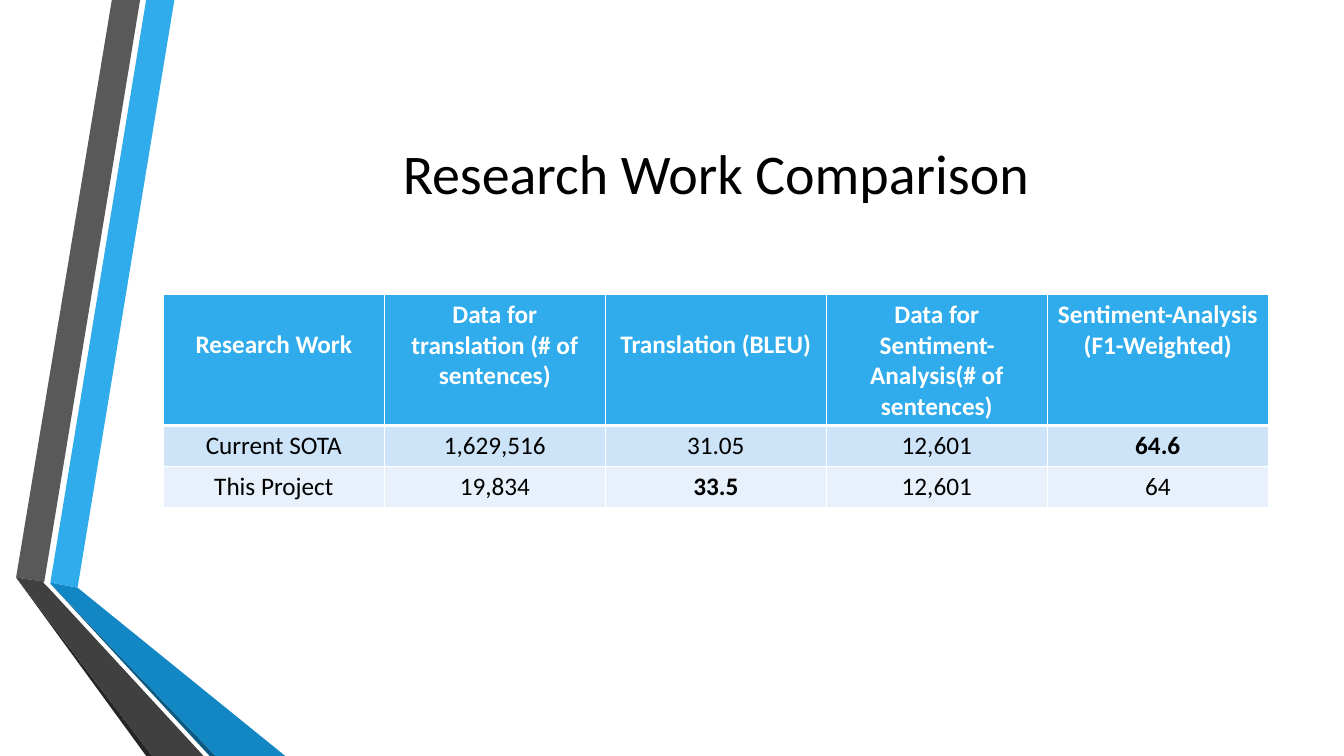
from lxml.etree import SubElement
from pptx import Presentation
from pptx.dml.color import RGBColor
from pptx.enum.text import MSO_ANCHOR, PP_ALIGN
from pptx.oxml.ns import qn
from pptx.util import Inches, Pt

WIDTH, HEIGHT = 13.33, 7.5
FONT = "Calibri"
COLORS = {
    "blue": "30ACEC", "blue_dark": "1287C3", "blue_shadow": "0C5A82",
    "gray": "595959", "gray_dark": "404040", "gray_shadow": "262626",
    "band_1": "CDE3F8", "band_2": "E8F1FB", "white": "FFFFFF", "black": "000000",
}
# Corners in hundredths of an inch from the top left of the ribbon area
RIBBONS = [
    ("blue", [(50, 578), (77, 583), (173, 0), (145, 0)]),
    ("gray", [(139, 0), (111, 0), (16, 573), (44, 577)]),
    ("gray_shadow", [(16, 573), (145, 750), (151, 750)]),
    ("blue_shadow", [(50, 579), (208, 750), (214, 750)]),
    ("blue_dark", [(50, 579), (214, 750), (283, 750), (77, 583), (50, 578)]),
    ("gray_dark", [(202, 750), (48, 583), (43, 578), (44, 577), (16, 573), (151, 750)]),
]
HEADERS = [
    "Research Work", "Data for translation (# of sentences)", "Translation (BLEU)",
    "Data for Sentiment-Analysis(# of sentences)", "Sentiment-Analysis (F1-Weighted)",
]
RESULTS = [
    ["Current SOTA", "1,629,516", "31.05", "12,601", "64.6"],
    ["This Project", "19,834", "33.5", "12,601", "64"],
]
BEST_SCORES = {"64.6", "33.5"}
LOWERED_HEADERS = {"Research Work", "Translation (BLEU)"}
ROW_HEIGHTS = [1.3, 0.41, 0.41]


def rgb(name):
    return RGBColor.from_string(COLORS[name])


def write_centered(text_frame, text, color, **font_format):
    paragraph = text_frame.paragraphs[0]
    paragraph.alignment = PP_ALIGN.CENTER
    run = paragraph.add_run()
    run.text = text
    run.font.color.rgb = rgb(color)
    for name, value in {"name": FONT, **font_format}.items():
        setattr(run.font, name, value)


def add_ribbons(slide, left, top):
    for color, corners in RIBBONS:
        builder = slide.shapes.build_freeform(*corners[0], scale=Inches(0.01))
        builder.add_line_segments(corners[1:], close=True)
        shape = builder.convert_to_shape(Inches(left), Inches(top))
        shape.shadow.inherit = False
        shape.fill.solid()
        shape.fill.fore_color.rgb = rgb(color)
        shape.line.fill.background()


def add_title(slide, left, top, width, height):
    box = slide.shapes.add_textbox(*map(Inches, (left, top, width, height)))
    box.text_frame.word_wrap = True
    box.text_frame.vertical_anchor = MSO_ANCHOR.MIDDLE
    write_centered(box.text_frame, "Research Work Comparison", "black", size=Pt(40))


def set_borders(cell, **points):
    properties = cell._tc.get_or_add_tcPr()
    for side in ("L", "R", "T", "B"):
        line = SubElement(properties, qn(f"a:ln{side}"), w=str(Pt(points.get(side, 1))))
        fill = SubElement(line, qn("a:solidFill"))
        SubElement(fill, qn("a:srgbClr"), val=COLORS["white"])


def fill_cell(cell, text, row):
    is_header = row == 0
    set_borders(cell, **({"B": 3} if is_header else {"T": 3} if row == 1 else {}))
    cell.fill.solid()
    cell.fill.fore_color.rgb = rgb("blue" if is_header else f"band_{row}")
    margins = {
        "margin_left": 0.09, "margin_right": 0.09,
        "margin_top": 0.35 if text in LOWERED_HEADERS else 0.05,
    }
    for name, value in margins.items():
        setattr(cell, name, Inches(value))
    write_centered(cell.text_frame, text, "white" if is_header else "black",
                   size=Pt(18), bold=is_header or text in BEST_SCORES)


def add_comparison_table(slide, left, top, width):
    rows = [HEADERS, *RESULTS]
    frame = slide.shapes.add_table(
        len(rows), len(HEADERS),
        *map(Inches, (left, top, width, sum(ROW_HEIGHTS))))
    table = frame.table
    for column in table.columns:
        column.width = Inches(width / len(HEADERS))
    for row, texts in enumerate(rows):
        table.rows[row].height = Inches(ROW_HEIGHTS[row])
        for column, text in enumerate(texts):
            fill_cell(table.cell(row, column), text, row)


def main():
    presentation = Presentation()
    presentation.slide_width = Inches(WIDTH)
    presentation.slide_height = Inches(HEIGHT)
    slide = presentation.slides.add_slide(presentation.slide_layouts[6])
    left, width = 1.62, 10.96
    add_ribbons(slide, 0, 0)
    add_title(slide, left, HEIGHT * 0.1, width, 1.92)
    add_comparison_table(slide, left, 2.92, width)
    presentation.save("out.pptx")


if __name__ == "__main__":
    main()
